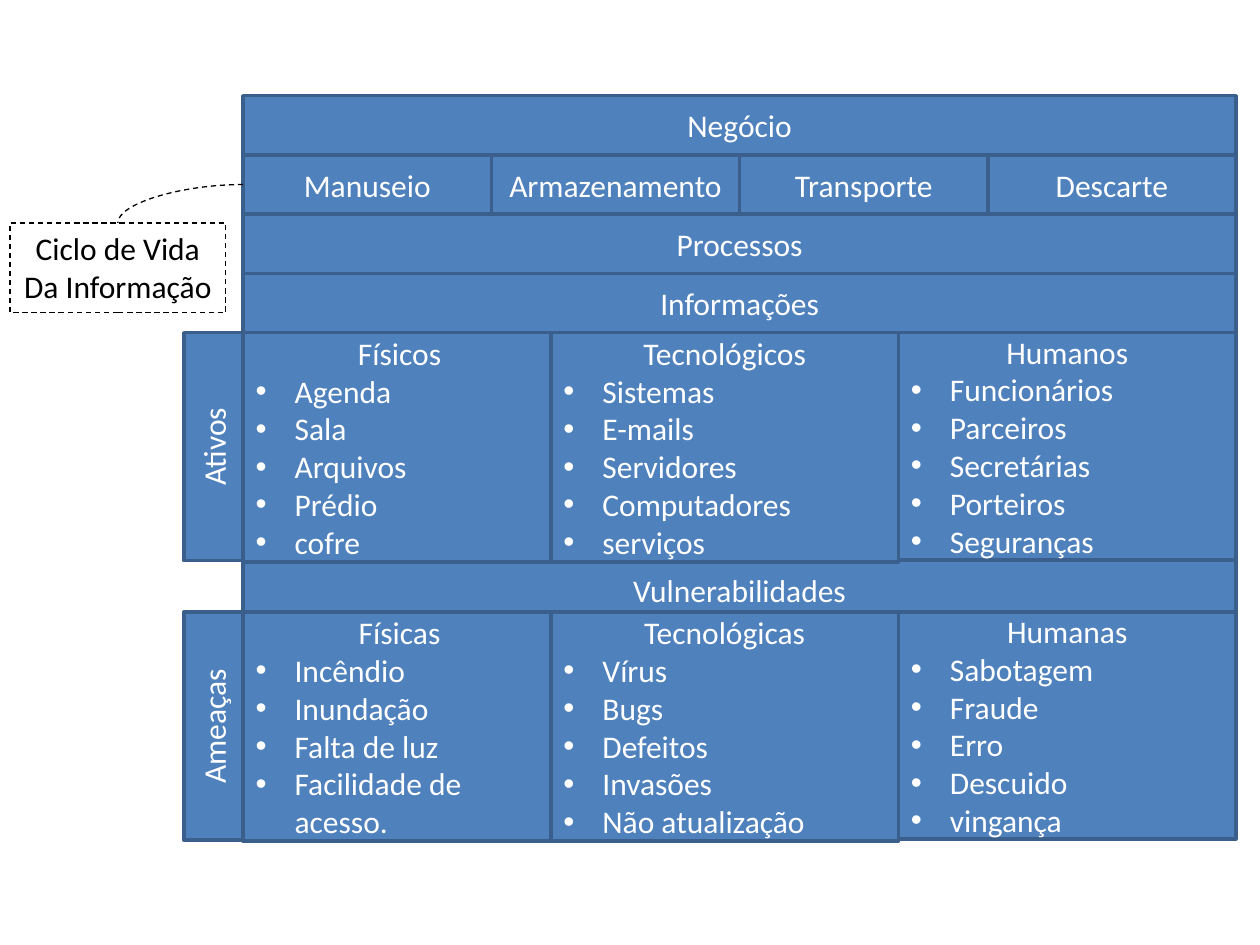
from lxml import etree
from pptx import Presentation, util as u
from pptx.dml.color import RGBColor
from pptx.enum import dml, shapes, text
from pptx.oxml.ns import qn

LEFT, TOP = 1.93, 0.76  # grid origin, inches
COL, ROW = 1.97, 0.47  # grid cell, inches
GROUP_COLS = [(0, 1.26, 3.87), (1.24, 1.4, 3.87), (2.64, 1.36, 3.83)]  # col, cols, rows

LIFECYCLE = ["Manuseio", "Armazenamento", "Transporte", "Descarte"]
BANDS = [(0, "Negócio"), (2, "Processos"), (3, "Informações"), (7.85, "Vulnerabilidades")]
GROUPS = [
    (4, "Ativos", [
        ["Físicos", "Agenda", "Sala", "Arquivos", "Prédio", "cofre"],
        ["Tecnológicos", "Sistemas", "E-mails", "Servidores", "Computadores", "serviços"],
        ["Humanos", "Funcionários", "Parceiros", "Secretárias", "Porteiros", "Seguranças"],
    ]),
    (8.72, "Ameaças", [
        ["Físicas", "Incêndio", "Inundação", "Falta de luz", "Facilidade de acesso."],
        ["Tecnológicas", "Vírus", "Bugs", "Defeitos", "Invasões", "Não atualização"],
        ["Humanas", "Sabotagem", "Fraude", "Erro", "Descuido", "vingança"],
    ]),
]


def rgb(value):
    return RGBColor.from_string(value)


class Board:
    font = {"name": "Calibri", "size": u.Pt(18)}
    fill, edge, light, dark = "4F81BD", "3A5F8C", "FFFFFF", "000000"
    indent = u.Inches(0.31)

    def __init__(self, slide):
        self.s = slide

    def place(self, col, row, cols, rows):
        """Turn grid columns and rows into left, top, width and height."""
        return [u.Inches(v) for v in
                (LEFT + col * COL, TOP + row * ROW, cols * COL, rows * ROW)]

    def add_lines(self, sp, lines, color):
        """Put one centred paragraph per line into a shape."""
        tf = sp.text_frame
        for i, line in enumerate(lines):
            p = tf.paragraphs[0] if i == 0 else tf.add_paragraph()
            p.alignment = text.PP_ALIGN.CENTER
            r = p.add_run()
            r.text = line
            for name, value in self.font.items():
                setattr(r.font, name, value)
            r.font.color.rgb = rgb(color)

    def dash(self, line):
        line.color.rgb = rgb(self.dark)
        line.width = u.Pt(0.75)
        line.dash_style = dml.MSO_LINE.DASH

    def box(self, col, row, cols, rows, *lines):
        sp = self.s.shapes.add_shape(shapes.MSO_SHAPE.RECTANGLE,
                                     *self.place(col, row, cols, rows))
        sp.shadow.inherit = False
        sp.fill.solid()
        sp.fill.fore_color.rgb = rgb(self.fill)
        sp.line.color.rgb = rgb(self.edge)
        sp.line.width = u.Pt(2)
        sp.text_frame.vertical_anchor = text.MSO_ANCHOR.MIDDLE
        self.add_lines(sp, lines, self.light)
        return sp

    def list_box(self, col, row, cols, rows, *lines):
        """Draw a box with a centred heading and bulleted items."""
        sp = self.box(col, row, cols, rows, *lines)
        for p in sp.text_frame.paragraphs[1:]:
            p.alignment = text.PP_ALIGN.LEFT
            pPr = p._p.get_or_add_pPr()
            pPr.set("marL", str(self.indent))
            pPr.set("indent", str(-self.indent))
            etree.SubElement(pPr, qn("a:buFont")).set("typeface", "Arial")
            etree.SubElement(pPr, qn("a:buChar")).set("char", "•")

    def side_box(self, row, rows, title):
        """Draw a one-row-wide box turned upwards, left of the grid."""
        cols = rows * ROW / COL
        sp = self.box(-0.12 - cols / 2, row + (rows - 1) / 2, cols, 1, title)
        sp.rotation = 270

    def note(self, col, row, cols, rows, *lines):
        sp = self.s.shapes.add_textbox(*self.place(col, row, cols, rows))
        sp.text_frame.word_wrap = False
        sp.text_frame.auto_size = text.MSO_AUTO_SIZE.SHAPE_TO_FIT_TEXT
        self.dash(sp.line)
        self.add_lines(sp, lines, self.dark)
        return sp

    def arc(self, start, end):
        """Join the left side of start to the top of end by a quarter curve."""
        c = self.s.shapes.add_connector(shapes.MSO_CONNECTOR.CURVE, 0, 0, 0, 0)
        c.begin_connect(start, 1)
        c.end_connect(end, 0)
        spPr = c._element.spPr
        spPr.find(qn("a:prstGeom")).set("prst", "curvedConnector2")
        self.dash(c.line)
        etree.SubElement(spPr, qn("a:effectLst"))


def main():
    prs = Presentation()
    prs.slide_width, prs.slide_height = u.Inches(10), u.Inches(7.5)
    board = Board(prs.slides.add_slide(prs.slide_layouts[6]))

    for row, title in BANDS:
        board.box(0, row, 4, 1, title)
    stages = [board.box(col, 1, 1, 1, title) for col, title in enumerate(LIFECYCLE)]

    for row, title, lists in GROUPS:
        for (col, cols, rows), lines in zip(GROUP_COLS, lists):
            board.list_box(col, row, cols, rows, *lines)
        board.side_box(row, 3.85, title)

    note = board.note(-0.94, 2.15, 0.87, 1.51, "Ciclo de Vida", "Da Informação")
    board.arc(stages[0], note)
    prs.save("out.pptx")


if __name__ == "__main__":
    main()
